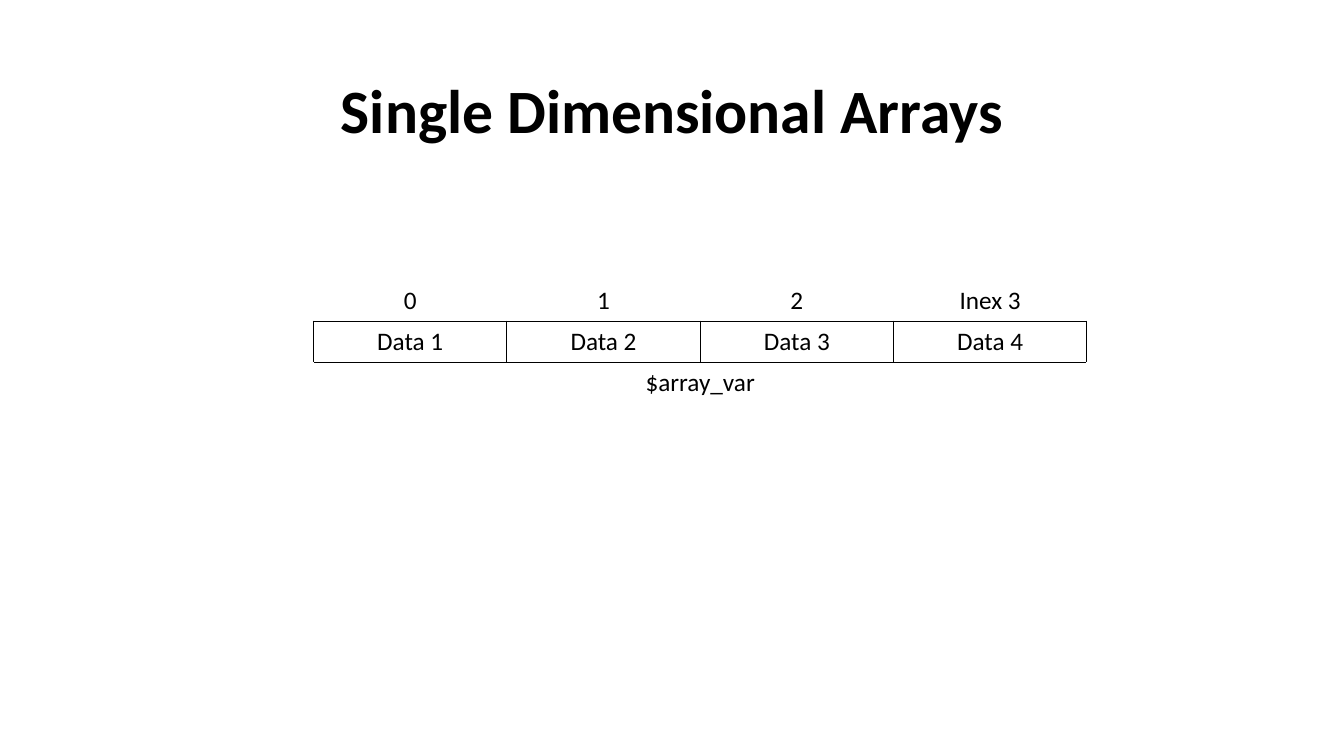
import dataclasses

import pptx
import pptx.dml.color
import pptx.enum.text
import pptx.oxml
import pptx.oxml.ns
import pptx.util


@dataclasses.dataclass(frozen=True)
class Theme:
    font: str = "Calibri"
    ink: str = "000000"
    title_size: int = 44
    body_size: int = 18
    border: int = 1


class Deck:
    def __init__(self, width, height, theme):
        self.theme = theme
        self.prs = pptx.Presentation()
        self.prs.slide_width = pptx.util.Inches(width)
        self.prs.slide_height = pptx.util.Inches(height)
        self.s = self.prs.slides.add_slide(self.prs.slide_layouts[6])

    def box(self, x, y, w, h):
        sw, sh = self.prs.slide_width, self.prs.slide_height
        return [round(n) for n in (x * sw, y * sh, w * sw, h * sh)]

    def label(self, tf, text, size, bold=False, spacing=1.0):
        p = tf.paragraphs[0]
        p.alignment = pptx.enum.text.PP_ALIGN.CENTER
        p.line_spacing = spacing
        r = p.add_run()
        r.text = text
        style = {"name": self.theme.font, "size": pptx.util.Pt(size), "bold": bold}
        for key, value in style.items():
            setattr(r.font, key, value)
        r.font.color.rgb = pptx.dml.color.RGBColor.from_string(self.theme.ink)

    def title(self, text, x, y, w, h):
        tf = self.s.shapes.add_textbox(*self.box(x, y, w, h)).text_frame
        style = {
            "word_wrap": True,
            "vertical_anchor": pptx.enum.text.MSO_ANCHOR.MIDDLE,
        }
        for key, value in style.items():
            setattr(tf, key, value)
        self.label(tf, text, self.theme.title_size, bold=True, spacing=0.9)

    def edge(self, cell, sides):
        width = pptx.util.Pt(self.theme.border)
        for side in sides:
            cell._tc.get_or_add_tcPr().append(pptx.oxml.parse_xml(
                f'<a:ln{side} {pptx.oxml.ns.nsdecls("a")} w="{width}">'
                f'<a:solidFill><a:srgbClr val="{self.theme.ink}"/></a:solidFill>'
                f'</a:ln{side}>'
            ))

    def array(self, indexes, values, name, x, y, w, h):
        rows = [indexes, values, [name]]
        sides = ["B", "LRTB", "T"]
        count = len(values)
        table = self.s.shapes.add_table(
            len(rows), count, *self.box(x, y, w, h)
        ).table
        for key in ("first_row", "horz_banding"):
            setattr(table, key, False)
        table.cell(2, 0).merge(table.cell(2, count - 1))
        for i, texts in enumerate(rows):
            for j in range(count):
                cell = table.cell(i, j)
                self.edge(cell, sides[i])
                cell.fill.background()
                if j < len(texts):
                    self.label(cell.text_frame, texts[j], self.theme.body_size)


def main():
    deck = Deck(13.33, 7.5, Theme())
    deck.title("Single Dimensional Arrays", 0.92 / 13.33, 0.4 / 7.5, 11.5 / 13.33, 1.45 / 7.5)
    deck.array(
        ["0", "1", "2", "Inex 3"],
        [f"Data {n}" for n in range(1, 5)],
        "$array_var",
        3.11 / 13.33, 2.78 / 7.5, 7.67 / 13.33, 1.22 / 7.5,
    )
    deck.prs.save("out.pptx")


if __name__ == "__main__":
    main()
